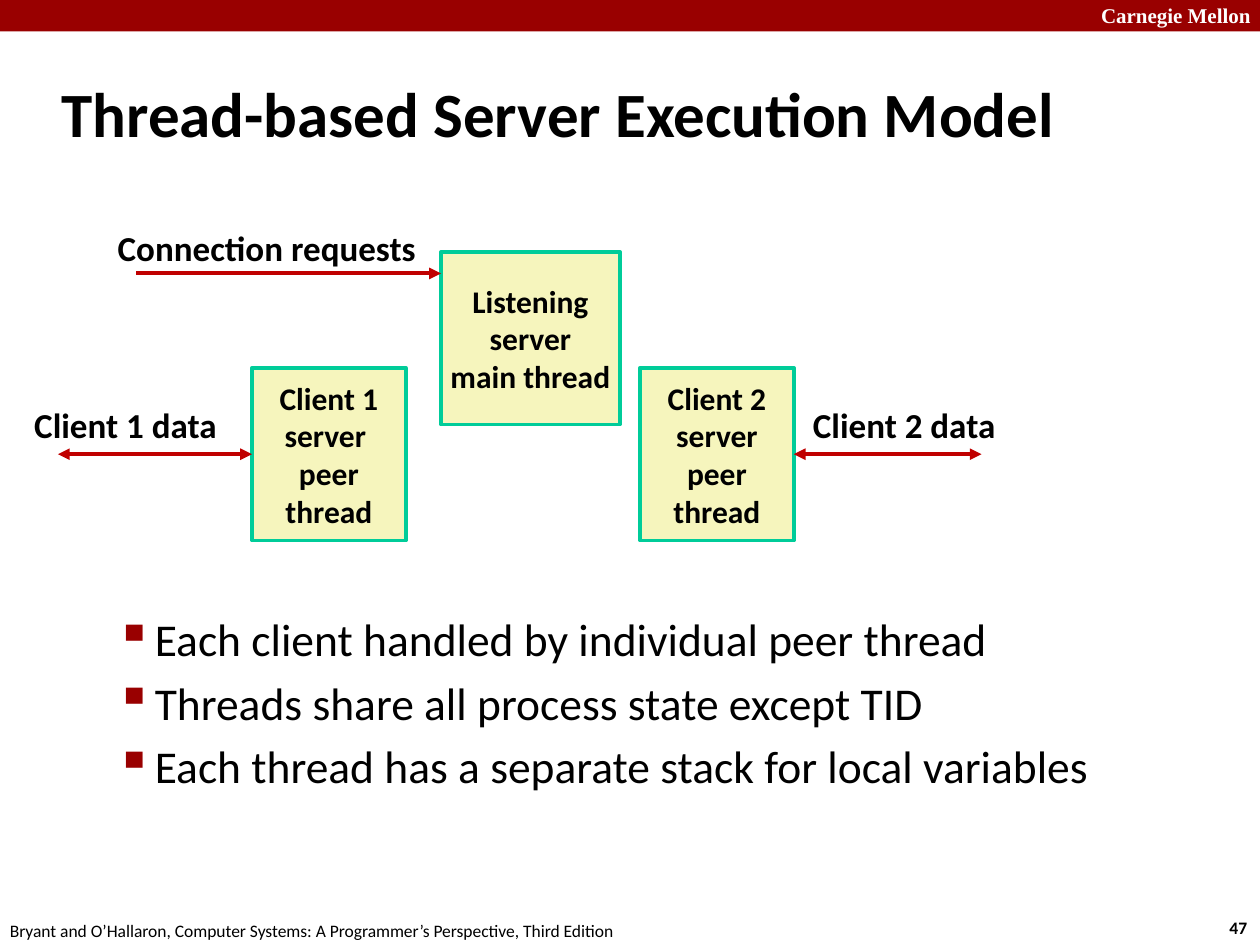
from lxml.etree import SubElement
from pptx import Presentation
from pptx.dml.color import RGBColor
from pptx.enum.shapes import MSO_CONNECTOR, MSO_SHAPE
from pptx.enum.text import MSO_ANCHOR, PP_ALIGN
from pptx.oxml.ns import qn
from pptx.util import Inches, Pt

COLUMNS, ROWS = 100, 75
RED, ARROW_RED, GREEN, CREAM = "990000", "C00000", "00CC99", "F6F5BD"
BLACK, WHITE = "000000", "FFFFFF"

BANNER = (0, 0, 100, 2.5)
CAPTIONS = [
    ("Carnegie Mellon", (86.4, -0.3, 14.3, 3),
     dict(size=12, name="Times New Roman", color=WHITE, bold=True), {}),
    ("47", (96.6, 72.3, 3.7, 2.7), dict(size=10, bold=True), {}),
    ("Bryant and O’Hallaron, Computer Systems: A Programmer’s Perspective, Third Edition",
     (-0.2, 72.5, 50.8, 2.7), dict(size=10), {}),
    ("Thread-based Server Execution Model", (3.9, 4.8, 83, 8.3),
     dict(size=36, bold=True), dict(word_wrap=True, vertical_anchor=MSO_ANCHOR.MIDDLE)),
]
POINTS = [
    "Each client handled by individual peer thread",
    "Threads share all process state except TID",
    "Each thread has a separate stack for local variables",
]
POINTS_AREA = (3.2, 48, 90.9, 22.2)

THREAD_HEIGHT, CLIENT_TOP, CLIENT_WIDTH = 13.7, 29.2, 12.2
THREADS = {
    "client 1": (["Client 1", "server ", "peer", "thread"], 20, CLIENT_TOP, CLIENT_WIDTH),
    "client 2": (["Client 2", "server", "peer", "thread"], 50.8, CLIENT_TOP, CLIENT_WIDTH),
    "listener": (["Listening", "server", "main thread"], 35, 20, 14.2),
}
LABELS = [
    ("Connection requests", (8, 17.5, 26, 4.4)),
    ("Client 1 data", (1.5, 31.5, 16.7, 4.4)),
    ("Client 2 data", (63.3, 31.5, 16.7, 4.4)),
]
REQUEST_ARROW = (10.8, 21.7, 35, 21.7)
DATA_ARROWS = [("client 1", 1, 4.6), ("client 2", 3, 77.9)]

deck = Presentation()
deck.slide_width, deck.slide_height = Inches(10), Inches(7.5)
slide = deck.slides.add_slide(deck.slide_layouts[6])


def across(columns):
    return round(deck.slide_width * columns / COLUMNS)


def down(rows):
    return round(deck.slide_height * rows / ROWS)


def place(left, top, width, height):
    return across(left), down(top), across(width), down(height)


def rgb(value):
    return RGBColor.from_string(value)


def write(frame, lines, font, layout, align=PP_ALIGN.LEFT, bulleted=False):
    for key, value in {"word_wrap": False, **layout}.items():
        setattr(frame, key, value)
    for index, line in enumerate(lines):
        paragraph = frame.paragraphs[0] if index == 0 else frame.add_paragraph()
        paragraph.alignment = align
        if bulleted:
            add_bullet(paragraph)
            paragraph.space_before = Pt(5.2 if index else 0)
        run = paragraph.add_run()
        run.text = line
        look = {"name": "Calibri", "color": BLACK, "bold": False, **font}
        run.font.color.rgb = rgb(look.pop("color"))
        look["size"] = Pt(look["size"])
        for key, value in look.items():
            setattr(run.font, key, value)


def add_bullet(paragraph):
    properties = paragraph._p.get_or_add_pPr()
    properties.set("marL", str(Inches(0.81)))
    properties.set("indent", str(Inches(-0.31)))
    SubElement(SubElement(properties, qn("a:buClr")), qn("a:srgbClr"), val=RED)
    SubElement(properties, qn("a:buSzPct"), val="110000")
    SubElement(properties, qn("a:buChar"), char="▪")


def add_box(area, fill, outline=None):
    box = slide.shapes.add_shape(MSO_SHAPE.RECTANGLE, *place(*area))
    box.shadow.inherit = False
    box.fill.solid()
    box.fill.fore_color.rgb = rgb(fill)
    if outline:
        box.line.color.rgb = rgb(outline)
        box.line.width = Pt(2.25)
    else:
        box.line.fill.background()
    return box


def add_text(area, lines, font, layout, **options):
    frame = slide.shapes.add_textbox(*place(*area)).text_frame
    write(frame, lines, font, layout, **options)


def add_arrow(start_x, start_y, end_x, end_y, ends):
    arrow = slide.shapes.add_connector(
        MSO_CONNECTOR.STRAIGHT, across(start_x), down(start_y), across(end_x), down(end_y))
    arrow.line.color.rgb = rgb(ARROW_RED)
    arrow.line.width = Pt(2.25)
    for end in ends:
        SubElement(arrow.line._get_or_add_ln(), qn(f"a:{end}"), type="triangle")
    SubElement(arrow._element.spPr, qn("a:effectLst"))
    return arrow


add_box(BANNER, RED)
for caption, area, font, layout in CAPTIONS:
    add_text(area, [caption], font, layout)
add_text(POINTS_AREA, POINTS, dict(size=26), dict(word_wrap=True), bulleted=True)

thread_boxes = {}
for thread, (lines, left, top, width) in THREADS.items():
    box = add_box((left, top, width, THREAD_HEIGHT), CREAM, GREEN)
    write(box.text_frame, lines, dict(size=18, bold=True),
          dict(vertical_anchor=MSO_ANCHOR.MIDDLE), align=PP_ALIGN.CENTER)
    thread_boxes[thread] = box

for label, area in LABELS:
    add_text(area, [label], dict(size=20, bold=True), {}, align=PP_ALIGN.RIGHT)

add_arrow(*REQUEST_ARROW, ["tailEnd"])
data_row = CLIENT_TOP + THREAD_HEIGHT / 2
for thread, side, outer in DATA_ARROWS:
    arrow = add_arrow(outer, data_row, outer, data_row, ["headEnd", "tailEnd"])
    arrow.end_connect(thread_boxes[thread], side)

deck.save("out.pptx")
